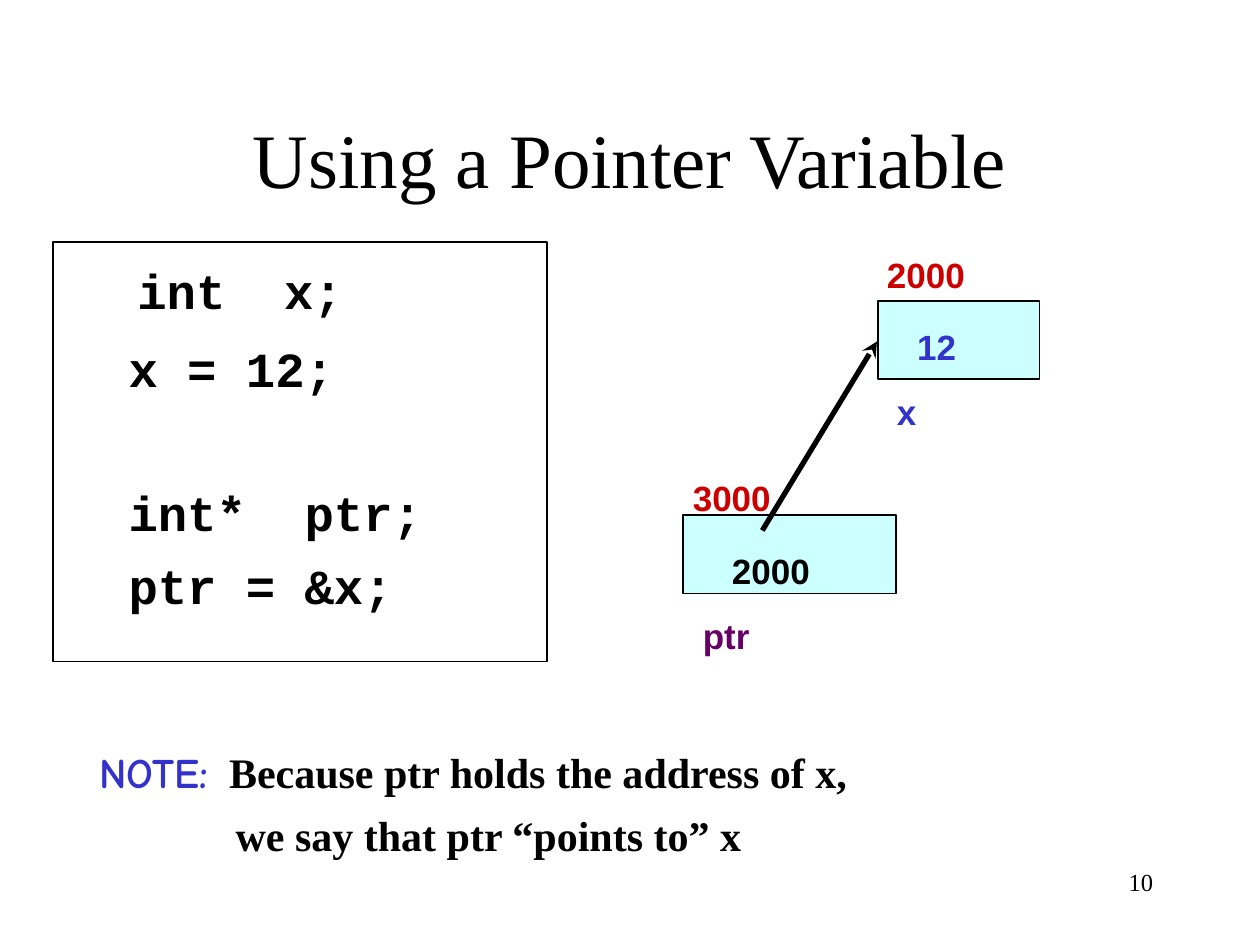
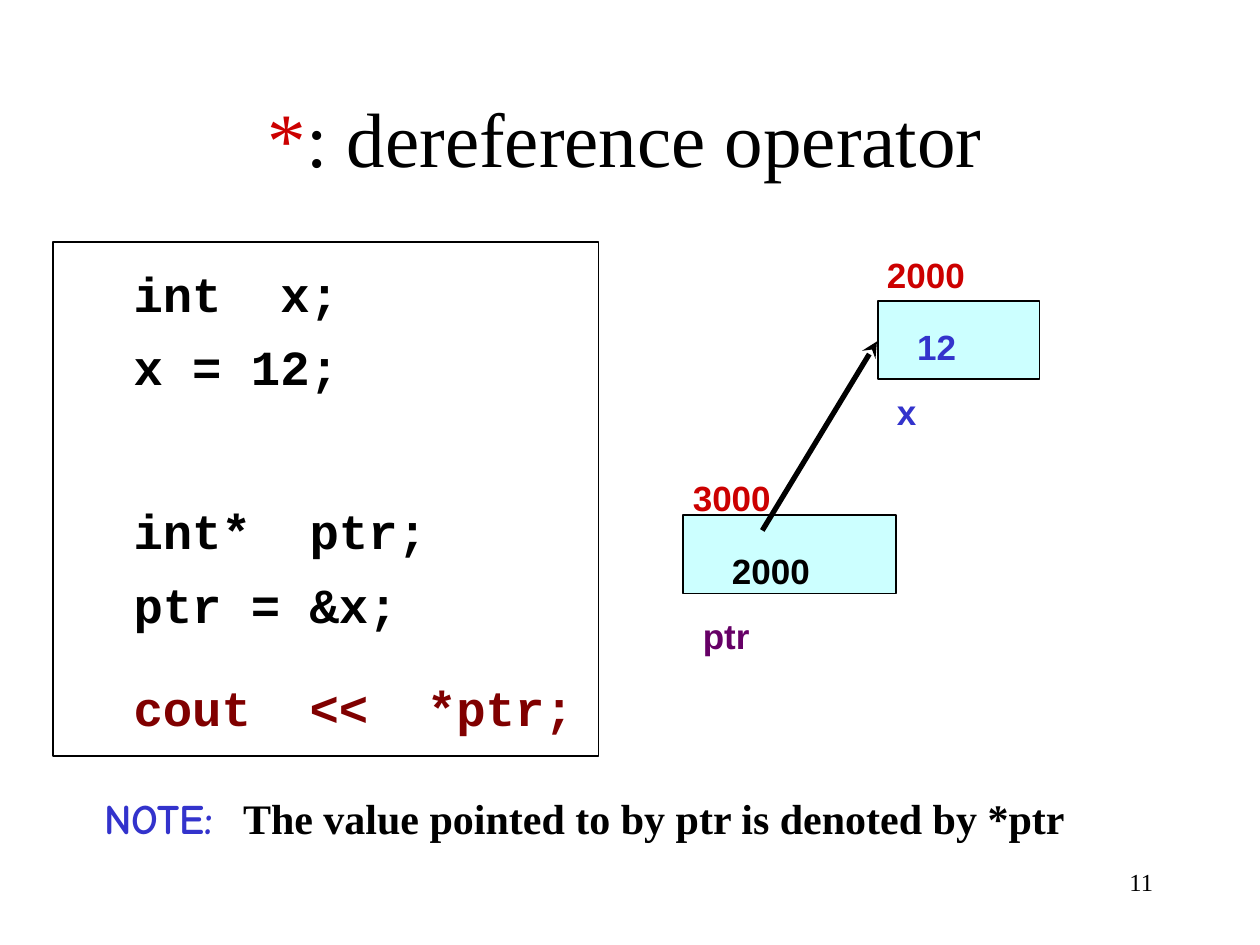
from pptx import Presentation
from pptx import util as u
from pptx.dml.color import RGBColor
from pptx.enum import shapes, text
from pptx.oxml import ns
from lxml import etree

COLORS = {"ink": "000000", "paper": "FFFFFF", "cell": "CCFFFF", "blue": "3333CC",
          "red": "CC0000", "purple": "660066", "maroon": "800000"}
SERIF, SANS, MONO, COMIC = "Times New Roman", "Arial", "Courier New", "Comic Neue"
CODE_INDENT = 0.23
CODE_GAP = 8.4


def rgb(name):
    return RGBColor.from_string(COLORS[name])


def box(*lengths):
    return [u.Inches(n) for n in lengths]


class Deck:
    """Holds the shared style and the current slide."""

    def __init__(self):
        self.prs = Presentation()
        self.prs.slide_width, self.prs.slide_height = box(10, 7.5)

    def slide(self, number):
        self.s = self.prs.slides.add_slide(self.prs.slide_layouts[1])
        tf = self.textbox(7.17, 6.83, 2.08, 0.5)
        self.add_runs(tf.paragraphs[0], [(str(number), "ink")], SERIF, 14)
        tf.paragraphs[0].alignment = text.PP_ALIGN.RIGHT

    def add_runs(self, p, parts, font, size, bold=False):
        """Fill a paragraph with (words, colour[, font]) parts."""
        for words, color, *own_font in parts:
            r = p.add_run()
            r.text = words
            r.font.name = own_font[0] if own_font else font
            r.font.size, r.font.bold = u.Pt(size), bold
            r.font.color.rgb = rgb(color)

    def add_rows(self, tf, rows, font, size):
        """Add rows of (space before, indent, parts) as bold paragraphs."""
        for before, indent, parts in rows:
            p = tf.add_paragraph() if tf.text else tf.paragraphs[0]
            p.space_before = u.Pt(before)
            pPr = p._p.get_or_add_pPr()
            pPr.set("marL", str(u.Inches(indent)))
            pPr.set("indent", "0")
            etree.SubElement(pPr, ns.qn("a:buNone"))
            self.add_runs(p, parts, font, size, True)

    def place(self, sp, *at):
        sp.left, sp.top, sp.width, sp.height = box(*at)
        tf = sp.text_frame
        tf.word_wrap, tf.auto_size = True, text.MSO_AUTO_SIZE.NONE
        return tf

    def textbox(self, *at):
        return self.place(self.s.shapes.add_textbox(*box(*at)), *at)

    def title(self, parts, *at):
        tf = self.place(self.s.shapes.title, *at)
        tf.vertical_anchor = text.MSO_ANCHOR.BOTTOM
        p = tf.paragraphs[0]
        p.alignment = text.PP_ALIGN.CENTER
        self.add_runs(p, parts, SERIF, 44)

    def body(self, code, note, *at):
        tf = self.place(self.s.placeholders[1], *at)
        rows = [(before, CODE_INDENT + extra, [(words, color)])
                for before, extra, words, color in code]
        self.add_rows(tf, rows, MONO, 28)
        self.add_rows(tf, note, SERIF, 24)

    def rect(self, fill, *at):
        sp = self.s.shapes.add_shape(shapes.MSO_SHAPE.RECTANGLE, *box(*at))
        sp.shadow.inherit = False
        sp.fill.solid()
        sp.fill.fore_color.rgb = rgb(fill)
        sp.line.color.rgb, sp.line.width = rgb("ink"), u.Pt(1)
        return sp

    def code_panel(self, width, height):
        sp = self.rect("paper", 0.42, 1.92, width, height)
        self.s.shapes.title._element.addprevious(sp._element)

    def arrow(self, *ends):
        sp = self.s.shapes.add_connector(shapes.MSO_CONNECTOR.STRAIGHT, *box(*ends))
        sp.line.color.rgb, sp.line.width = rgb("ink"), u.Pt(3)
        spPr = sp._element.spPr
        etree.SubElement(spPr.find(ns.qn("a:ln")), ns.qn("a:tailEnd"), type="stealth")
        etree.SubElement(spPr, ns.qn("a:effectLst"))

    def memory_diagram(self):
        """Two memory cells, the pointer between them, and their labels."""
        self.rect("cell", 6.97, 2.39, 1.28, 0.62)
        self.rect("cell", 5.42, 4.09, 1.69, 0.62)
        self.arrow(6.05, 4.21, 6.96, 2.71)
        labels = [(1.8, 1.54, "2000", "red"), (17.6, 1.78, "12", "blue"),
                  (13, 1.62, "x", "blue"), (25, 0, "3000", "red"),
                  (17.6, 0.31, "2000", "ink"), (13, 0.08, "ptr", "purple")]
        rows = [(before, indent, [(words, color)])
                for before, indent, words, color in labels]
        self.add_rows(self.textbox(5.4, 1.96, 3.75, 3.57), rows, SANS, 20)


def main():
    deck = Deck()

    # Using a pointer variable
    deck.slide(10)
    deck.code_panel(3.92, 3.33)
    deck.title([("Using a Pointer Variable", "ink")], 0.75, 0.42, 8.5, 1.25)
    deck.body(
        [(14.5, 0.07, "int  x;", "ink"), (10.8, 0, "x = 12;", "ink"),
         (48.5, 0, "int*  ptr;", "ink"), (CODE_GAP, 0, "ptr = &x;", "ink")],
        [(75.5, 0, [("NOTE:", "blue", COMIC),
                    ("  Because ptr holds the address of x,", "ink")]),
         (7.2, 1.08, [("we say that ptr “points to” x", "ink")])],
        0.69, 2.02, 8.6, 4.9)
    deck.memory_diagram()

    # Dereference operator
    deck.slide(11)
    deck.code_panel(4.33, 4.08)
    deck.title([("*", "red"), (": dereference operator", "ink")], 0.67, 0.25, 8.58, 1.25)
    deck.body(
        [(7.5, 0, "int  x;", "ink"), (CODE_GAP, 0, "x = 12;", "ink"),
         (60, 0, "int*  ptr;", "ink"), (CODE_GAP, 0, "ptr = &x;", "ink"),
         (25.6, 0, "cout  <<  *ptr;", "maroon")],
        [(32, 0, [("NOTE:  ", "blue", COMIC),
                  ("The value pointed to by ptr is denoted by *ptr", "ink")])],
        0.73, 2.04, 8.6, 4.65)
    deck.memory_diagram()

    deck.prs.save("out.pptx")


if __name__ == "__main__":
    main()
